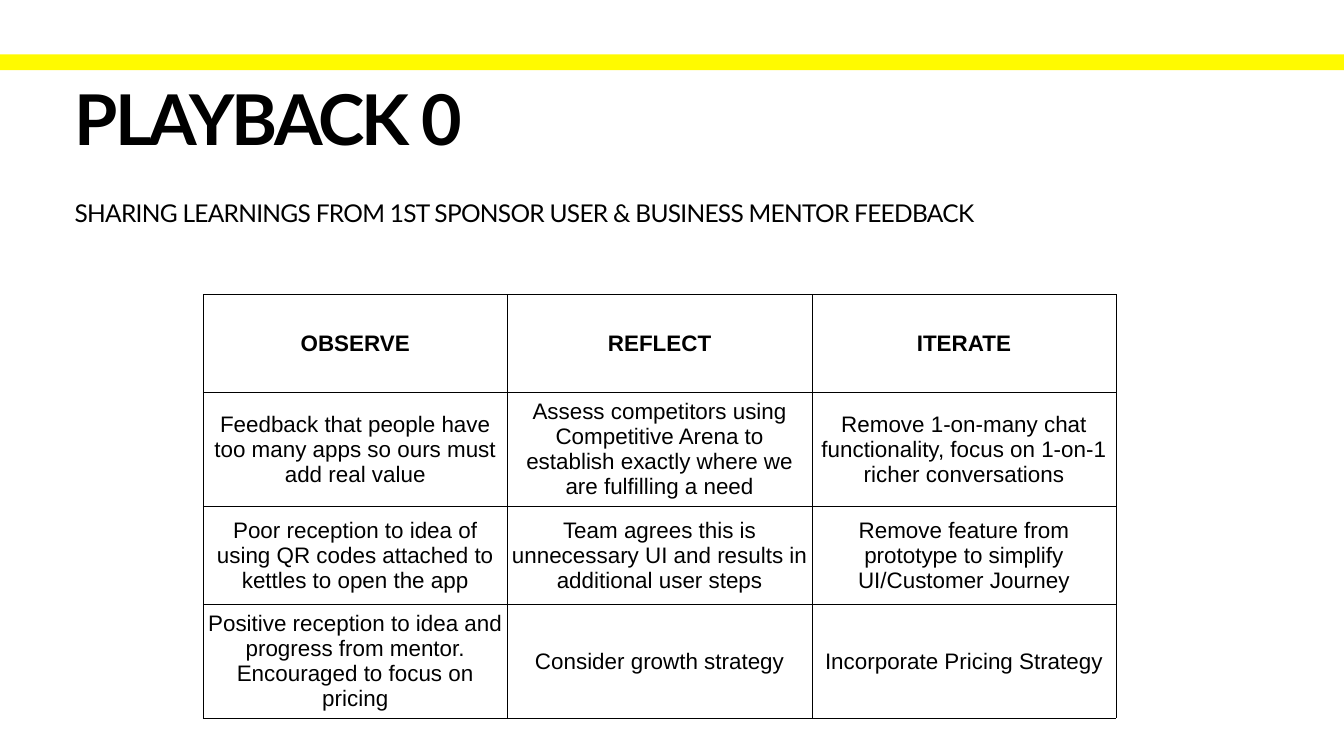
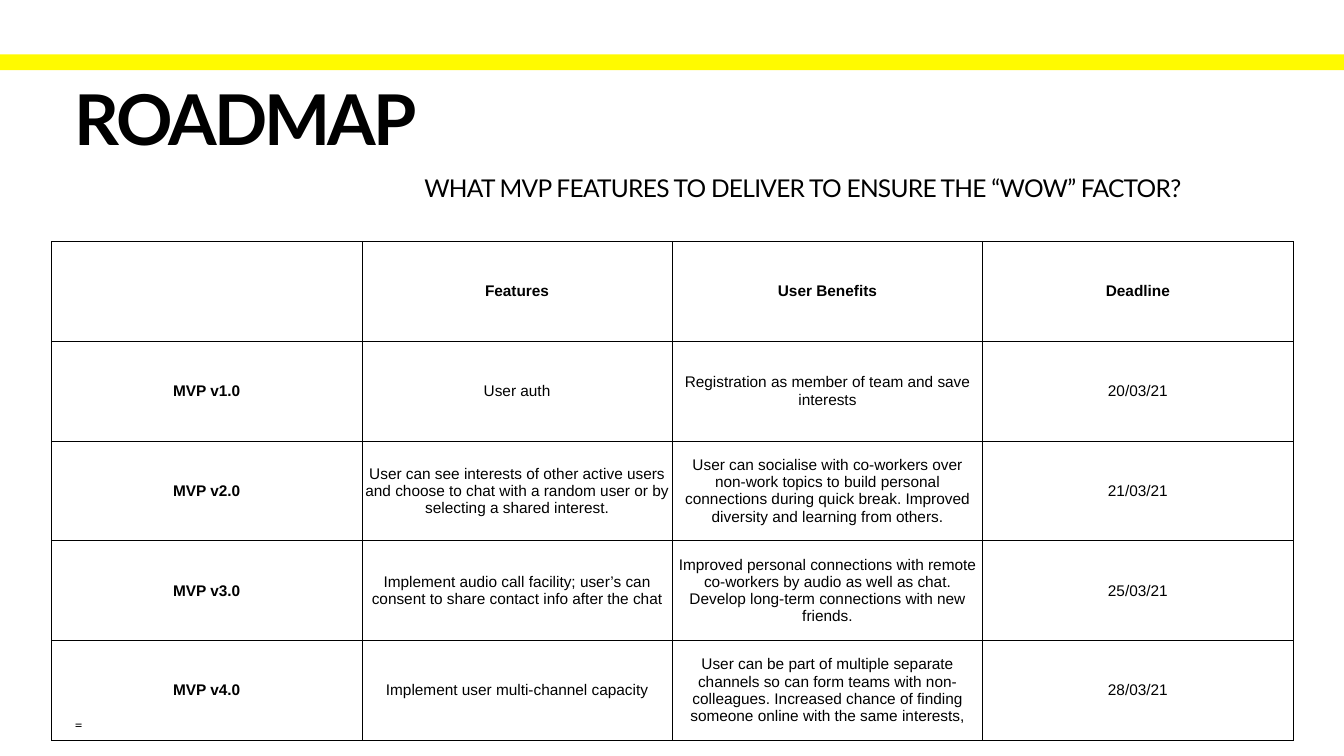
import pptx
import pptx.dml.color
import pptx.enum.shapes
import pptx.enum.text
import pptx.oxml
import pptx.oxml.ns
import pptx.util

Inches, Pt = pptx.util.Inches, pptx.util.Pt

# Shared style
WIDTH, HEIGHT = 26.67, 15
BLACK, YELLOW = "000000", "FFFA00"
MARGIN, TEXT_WIDTH = 1.42, 23.92
INSET = Inches(0.06)


def color(hex_text):
    return pptx.dml.color.RGBColor.from_string(hex_text)


def write(frame, text, font, size, spacing=0, bold=False):
    frame.word_wrap = True
    para = frame.paragraphs[0]
    para.text = text
    para.font.name = font
    para.font.size = Pt(size)
    para.font.bold = bold
    para.font.color.rgb = color(BLACK)
    # Character spacing is given in hundredths of a point
    para.font._element.set("spc", str(round(spacing * 100)))
    return para


# Contents: each text is left, top, height, wording, size, character spacing
pages = [
    {
        "title": "PLAYBACK 0",
        "texts": [(MARGIN, 3.87, 0.76,
                   "SHARING LEARNINGS FROM 1ST SPONSOR USER & BUSINESS MENTOR FEEDBACK", 35, -1.05)],
        "table_at": (4.03, 5.84), "column": 6.04, "row": 1.95, "size": 32, "bold_columns": 0,
        "rows": [
            ["OBSERVE", "REFLECT", "ITERATE"],
            ["Feedback that people have too many apps so ours must add real value",
             "Assess competitors using Competitive Arena to establish exactly where we are fulfilling a need",
             "Remove 1-on-many chat functionality, focus on 1-on-1 richer conversations"],
            ["Poor reception to idea of using QR codes attached to kettles to open the app",
             "Team agrees this is unnecessary UI and results in additional user steps",
             "Remove feature from prototype to simplify UI/Customer Journey"],
            ["Positive reception to idea and progress from mentor. Encouraged to focus on pricing",
             "Consider growth strategy",
             "Incorporate Pricing Strategy"],
        ],
    },
    {
        "title": "ROADMAP",
        "texts": [(MARGIN, 14.16, 0.47, "=", 20, -0.6),
                  (8.36, 3.38, 0.76,
                   "WHAT MVP FEATURES TO DELIVER TO ENSURE THE “WOW” FACTOR?", 35, -1.05)],
        "table_at": (1.02, 4.79), "column": 6.16, "row": 1.98, "size": 22, "bold_columns": 1,
        "rows": [
            ["", "Features", "User Benefits", "Deadline"],
            ["MVP v1.0", "User auth",
             "Registration as member of team and save interests", "20/03/21"],
            ["MVP v2.0",
             "User can see interests of other active users and choose to chat with a random user "
             "or by selecting a shared interest.",
             "User can socialise with co-workers over non-work topics to build personal connections "
             "during quick break. Improved diversity and learning from others.",
             "21/03/21"],
            ["MVP v3.0",
             "Implement audio call facility; user’s can consent to share contact info after the chat",
             "Improved personal connections with remote co-workers by audio as well as chat. "
             "Develop long-term connections with new friends.",
             "25/03/21"],
            ["MVP v4.0", "Implement user multi-channel capacity",
             "User can be part of multiple separate channels so can form teams with non-colleagues. "
             "Increased chance of finding someone online with the same interests,",
             "28/03/21"],
        ],
    },
]

deck = pptx.Presentation()
deck.slide_width, deck.slide_height = Inches(WIDTH), Inches(HEIGHT)

for content in pages:
    page = deck.slides.add_slide(deck.slide_layouts[6])

    # Yellow band
    band = page.shapes.add_shape(pptx.enum.shapes.MSO_SHAPE.RECTANGLE,
                                 0, Inches(1.08), deck.slide_width, Inches(0.31))
    band.shadow.inherit = False
    band.fill.solid()
    band.fill.fore_color.rgb = color(YELLOW)
    band.line.fill.background()

    # Body texts, then the title
    title = (MARGIN, 1.77, 1.94, content["title"], 100, -4)
    for left, top, height, text, size, spacing in content["texts"] + [title]:
        box = page.shapes.add_textbox(Inches(left), Inches(top), Inches(TEXT_WIDTH), Inches(height))
        frame = box.text_frame
        frame.margin_left = frame.margin_right = frame.margin_top = frame.margin_bottom = INSET
        is_title = text == content["title"]
        para = write(frame, text, "Lato", size, spacing, is_title)
        if is_title:
            para.line_spacing = 0.8

    # Table
    rows, column, row = content["rows"], content["column"], content["row"]
    left, top = content["table_at"]
    table = page.shapes.add_table(len(rows), len(rows[0]), Inches(left), Inches(top),
                                  Inches(column * len(rows[0])), Inches(row * len(rows))).table
    table.first_row = table.horz_banding = False
    for table_column in table.columns:
        table_column.width = Inches(column)
    for row_index, texts in enumerate(rows):
        table.rows[row_index].height = Inches(row)
        for column_index, text in enumerate(texts):
            cell = table.cell(row_index, column_index)
            cell.margin_left = cell.margin_right = cell.margin_top = cell.margin_bottom = INSET
            cell.vertical_anchor = pptx.enum.text.MSO_ANCHOR.MIDDLE
            if text:
                bold = row_index == 0 or column_index < content["bold_columns"]
                para = write(cell.text_frame, text, "Arial", content["size"], bold=bold)
                para.alignment = pptx.enum.text.PP_ALIGN.CENTER

            # Borders come before the fill in the cell properties
            properties = cell._tc.get_or_add_tcPr()
            for side in ("lnL", "lnR", "lnT", "lnB"):
                properties.append(pptx.oxml.parse_xml(
                    f'<a:{side} {pptx.oxml.ns.nsdecls("a")} w="{Pt(1)}"><a:solidFill>'
                    f'<a:srgbClr val="{BLACK}"/></a:solidFill></a:{side}>'))
            cell.fill.background()

deck.save("out.pptx")
